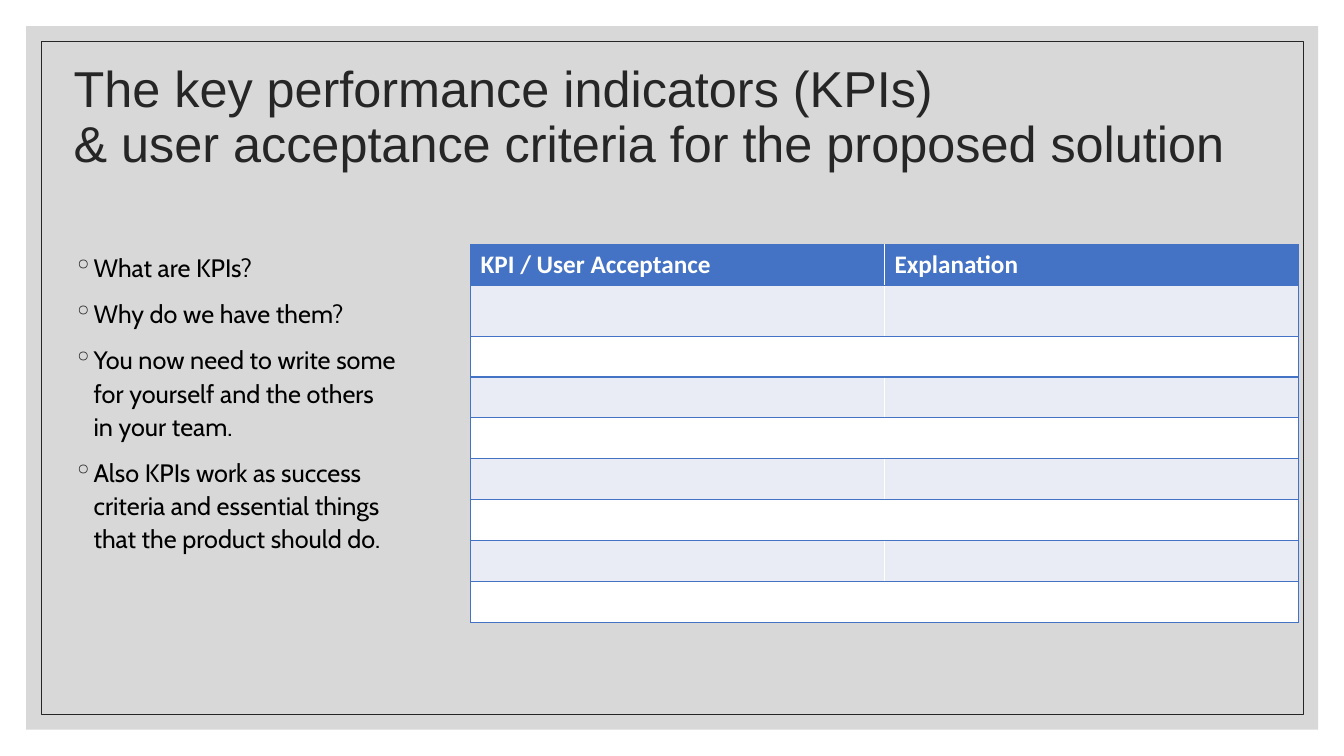
"""Build a slide on KPIs and user acceptance criteria with an empty table to fill in."""
from dataclasses import dataclass
from typing import Optional

from lxml.etree import SubElement
from pptx import Presentation
from pptx.dml.color import RGBColor
from pptx.enum.shapes import MSO_SHAPE
from pptx.enum.text import MSO_ANCHOR, MSO_AUTO_SIZE, PP_ALIGN
from pptx.oxml.ns import qn
from pptx.util import Cm, Pt

INK = "262626"
BLUE = "4472C4"
WHITE = "FFFFFF"
BAND = "E9EBF5"

TITLE = ("The key performance indicators (KPIs)\n"
         "& user acceptance criteria for the proposed solution")
PROMPTS = (
    "What are KPIs?",
    "Why do we have them?",
    "You now need to write some for yourself and the others in your team.",
    "Also KPIs work as success criteria and essential things that the product should do.",
)
HEADINGS = ("KPI / User Acceptance", "Explanation")
ROW_HEIGHTS = [1.03, 1.27] + [1.03] * 7
COLUMN_WIDTH = 10.43


@dataclass(frozen=True)
class Box:
    left: float
    top: float
    width: float
    height: float

    def lengths(self) -> tuple:
        return Cm(self.left), Cm(self.top), Cm(self.width), Cm(self.height)


@dataclass(frozen=True)
class Panel:
    box: Box
    fill: Optional[str] = None
    opacity: int = 100
    line: Optional[str] = None


PANELS = (
    Panel(Box(0.66, 0.66, 32.56, 17.73), fill="BFBFBF", opacity=60),
    Panel(Box(1.04, 1.04, 31.8, 16.97), line=INK),
)
TITLE_BOX = Box(1.6, 1.09, 30.43, 3.81)
PROMPT_BOX = Box(1.6, 6.17, 8.69, 10.97)
TABLE_BOX = Box(11.86, 6.17, COLUMN_WIDTH * len(HEADINGS), sum(ROW_HEIGHTS))


def color(hex_code: str) -> RGBColor:
    return RGBColor.from_string(hex_code)


def write(paragraph, text: str, *, font: str, size: float, ink: str, bold: bool = False,
          spacing: Optional[float] = None, before: float = 0) -> None:
    paragraph.text = text
    paragraph.alignment = PP_ALIGN.LEFT
    paragraph.space_before = Pt(before)
    if spacing:
        paragraph.line_spacing = spacing
    for run in paragraph.runs:
        run.font.name = font
        run.font.size = Pt(size)
        run.font.bold = bold
        run.font.color.rgb = color(ink)


def add_panel(slide, panel: Panel) -> None:
    frame = slide.shapes.add_shape(MSO_SHAPE.RECTANGLE, *panel.box.lengths())
    frame.shadow.inherit = False
    if panel.fill:
        frame.fill.solid()
        frame.fill.fore_color.rgb = color(panel.fill)
        tint = frame.fill._xPr.find(f".//{qn('a:srgbClr')}")
        SubElement(tint, qn("a:alpha"), val=str(panel.opacity * 1000))
    else:
        frame.fill.background()
    if panel.line:
        frame.line.color.rgb = color(panel.line)
        frame.line.width = Pt(0.5)
    else:
        frame.line.fill.background()


def add_title(slide) -> None:
    title = slide.shapes.title
    slide.shapes._spTree.append(title._element)
    title.left, title.top, title.width, title.height = TITLE_BOX.lengths()
    title.text_frame.auto_size = MSO_AUTO_SIZE.NONE
    title.text_frame.vertical_anchor = MSO_ANCHOR.MIDDLE
    write(title.text_frame.paragraphs[0], TITLE, font="Arial", size=36, ink=INK, spacing=0.9)


def add_bullet(paragraph) -> None:
    properties = paragraph._p.get_or_add_pPr()
    properties.set("marL", str(Cm(0.51)))
    properties.set("indent", str(Cm(-0.51)))
    SubElement(SubElement(properties, qn("a:buClr")), qn("a:srgbClr"), val=INK)
    SubElement(properties, qn("a:buChar"), char="◦")


def add_prompts(slide) -> None:
    body = slide.shapes.add_textbox(*PROMPT_BOX.lengths()).text_frame
    body.word_wrap = True
    for index, prompt in enumerate(PROMPTS):
        paragraph = body.add_paragraph() if index else body.paragraphs[0]
        write(paragraph, prompt, font="Cabin", size=18, ink="000000", spacing=1.1, before=9)
        add_bullet(paragraph)


def add_borders(cell, sides: str) -> None:
    properties = cell._tc.get_or_add_tcPr()
    for side in sides:
        border = SubElement(properties, qn(f"a:ln{side}"), w=str(Pt(1)))
        SubElement(SubElement(border, qn("a:solidFill")), qn("a:srgbClr"), val=BLUE)


def add_kpi_table(slide) -> None:
    table = slide.shapes.add_table(
        len(ROW_HEIGHTS), len(HEADINGS), *TABLE_BOX.lengths()).table
    for column in table.columns:
        column.width = Cm(COLUMN_WIDTH)
    for row_index, height in enumerate(ROW_HEIGHTS):
        table.rows[row_index].height = Cm(height)
        shade = BLUE if row_index == 0 else (WHITE, BAND)[row_index % 2]
        for column_index, heading in enumerate(HEADINGS):
            cell = table.cell(row_index, column_index)
            add_borders(cell, "RTB" if column_index else "LTB")
            cell.fill.solid()
            cell.fill.fore_color.rgb = color(shade)
            if row_index == 0:
                write(cell.text_frame.paragraphs[0], heading,
                      font="Calibri", size=18, ink=WHITE, bold=True)


def main() -> None:
    deck = Presentation()
    deck.slide_width, deck.slide_height = Cm(33.87), Cm(19.05)
    slide = deck.slides.add_slide(deck.slide_layouts[5])
    for panel in PANELS:
        add_panel(slide, panel)
    add_title(slide)
    add_prompts(slide)
    add_kpi_table(slide)
    deck.save("out.pptx")


if __name__ == "__main__":
    main()
